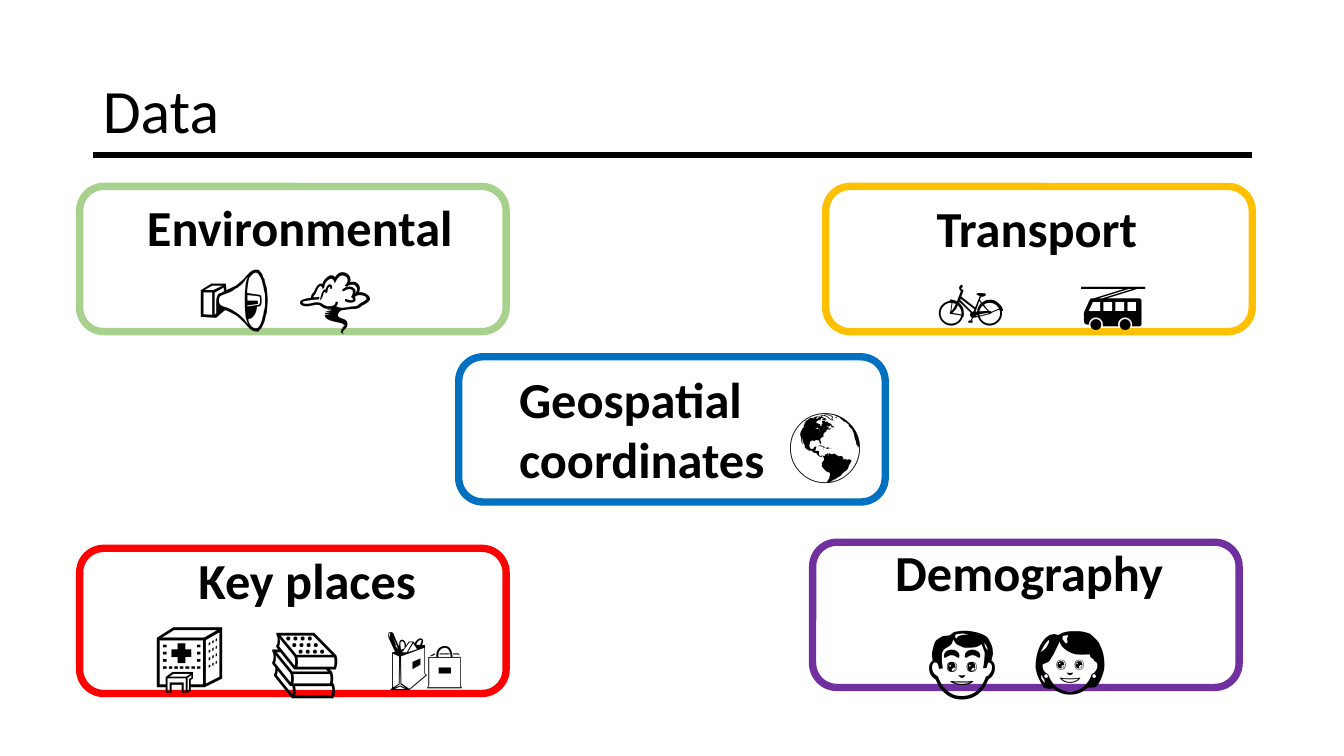
from dataclasses import dataclass

from lxml.etree import SubElement
from pptx import Presentation
from pptx.dml.color import RGBColor
from pptx.enum.shapes import MSO_CONNECTOR as Connector
from pptx.enum.shapes import MSO_SHAPE as Preset
from pptx.enum.text import MSO_ANCHOR as Anchor
from pptx.enum.text import MSO_AUTO_SIZE as AutoSize
from pptx.enum.text import PP_ALIGN as Align
from pptx.oxml.ns import qn
from pptx.shapes.shapetree import GroupShapes
from pptx.slide import Slide
from pptx.text.text import TextFrame
from pptx.util import Inches, Pt

FONT = "Calibri"
BLACK = RGBColor(0x00, 0x00, 0x00)
GREEN = RGBColor(0xA9, 0xD1, 0x8E)
AMBER = RGBColor(0xFF, 0xC0, 0x00)
BLUE = RGBColor(0x00, 0x70, 0xC0)
RED = RGBColor(0xFF, 0x00, 0x00)
PURPLE = RGBColor(0x70, 0x30, 0xA0)

CARD_WIDTH, CARD_HEIGHT = 4.23, 1.44
ICON_WIDTH, ICON_HEIGHT = 1.08, 0.94
LABEL_LINE_HEIGHT = 0.6
LABEL_PADDING = 0.11


@dataclass(frozen=True)
class Icon:
    symbol: str
    left: float
    top: float


@dataclass(frozen=True)
class Card:
    label: str
    color: RGBColor
    left: float
    top: float
    label_left: float
    label_top: float
    label_width: float
    icons: tuple[Icon, ...]


CARDS = (
    Card("Transport", AMBER, 8.19, 1.85, 9.19, 1.91, 2.21,
         (Icon("🚲", 9.19, 2.48), Icon("🚎", 10.63, 2.54))),
    Card("Environmental", GREEN, 0.79, 1.85, 1.36, 1.9, 3.27,
         (Icon("📢", 1.87, 2.45), Icon("🌪", 2.88, 2.43))),
    Card("Geospatial\ncoordinates", BLUE, 4.55, 3.54, 5.05, 3.6, 2.67,
         (Icon("🌎", 7.74, 3.9),)),
    Card("Key places", RED, 0.79, 5.44, 1.87, 5.4, 2.38,
         (Icon("🏥", 1.43, 6), Icon("📚", 2.58, 6.06), Icon("🛍", 3.7, 6.03))),
    Card("Demography", PURPLE, 8.06, 5.38, 8.78, 5.32, 2.89,
         (Icon("👨", 9.1, 6.06), Icon("👩", 10.17, 6.04))),
)


def write(frame: TextFrame, text: str, size: float, bold: bool = False) -> None:
    frame.text = text
    for para in frame.paragraphs:
        for span in para.runs:
            span.font.name = FONT
            span.font.size = Pt(size)
            span.font.bold = bold
            span.font.color.rgb = BLACK


def add_text(shapes: GroupShapes, text: str, left: float, top: float,
             width: float, height: float, size: float,
             bold: bool = False, wrap: bool = True) -> None:
    box = shapes.add_textbox(Inches(left), Inches(top), Inches(width), Inches(height))
    box.text_frame.word_wrap = wrap
    box.text_frame.auto_size = AutoSize.SHAPE_TO_FIT_TEXT
    write(box.text_frame, text, size, bold)


def add_card(page: Slide, card: Card) -> None:
    shapes = page.shapes.add_group_shape().shapes
    outline = shapes.add_shape(Preset.ROUNDED_RECTANGLE, Inches(card.left), Inches(card.top),
                               Inches(CARD_WIDTH), Inches(CARD_HEIGHT))
    outline.shadow.inherit = False
    outline.fill.background()
    outline.line.color.rgb = card.color
    outline.line.width = Pt(5.25)

    lines = card.label.count("\n") + 1
    add_text(shapes, card.label, card.label_left, card.label_top, card.label_width,
             LABEL_PADDING + lines * LABEL_LINE_HEIGHT, 36, bold=True, wrap=False)
    for icon in card.icons:
        add_text(shapes, icon.symbol, icon.left, icon.top, ICON_WIDTH, ICON_HEIGHT, 50)


def add_title(page: Slide, text: str) -> None:
    rule = page.shapes.add_connector(Connector.STRAIGHT, Inches(0.92), Inches(1.54),
                                     Inches(12.42), Inches(1.54))
    rule.line.color.rgb = BLACK
    rule.line.width = Pt(4.5)
    SubElement(rule._element.spPr, qn("a:effectLst"))

    title = page.shapes.title
    title.left, title.top = Inches(0.92), Inches(0.4)
    title.width, title.height = Inches(11.5), Inches(1.45)
    frame = title.text_frame
    frame.auto_size = AutoSize.NONE
    frame.vertical_anchor = Anchor.MIDDLE
    write(frame, text, 44)
    frame.paragraphs[0].alignment = Align.LEFT
    frame.paragraphs[0].line_spacing = 0.9


def main() -> None:
    deck = Presentation()
    deck.slide_width, deck.slide_height = Inches(13.33), Inches(7.5)
    page = deck.slides.add_slide(deck.slide_layouts[5])
    add_title(page, "Data")
    for card in CARDS:
        add_card(page, card)
    deck.save("out.pptx")


if __name__ == "__main__":
    main()
